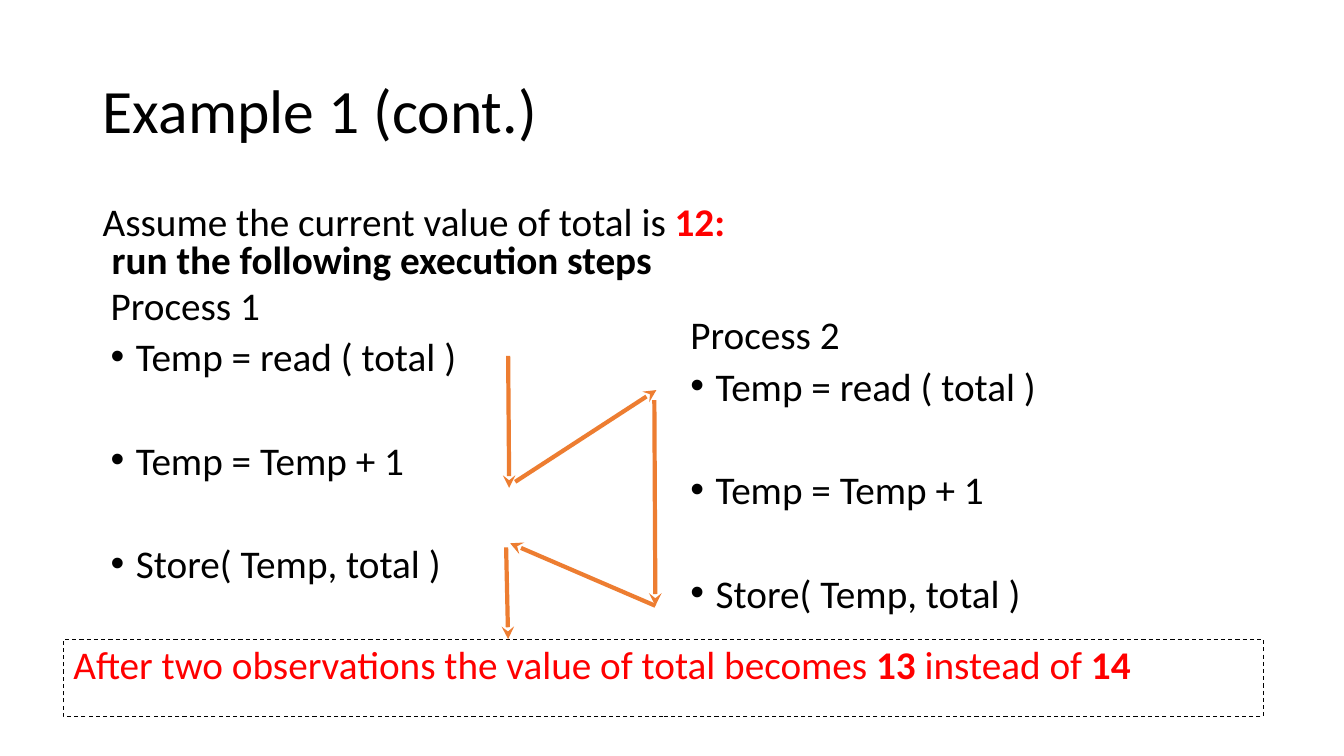
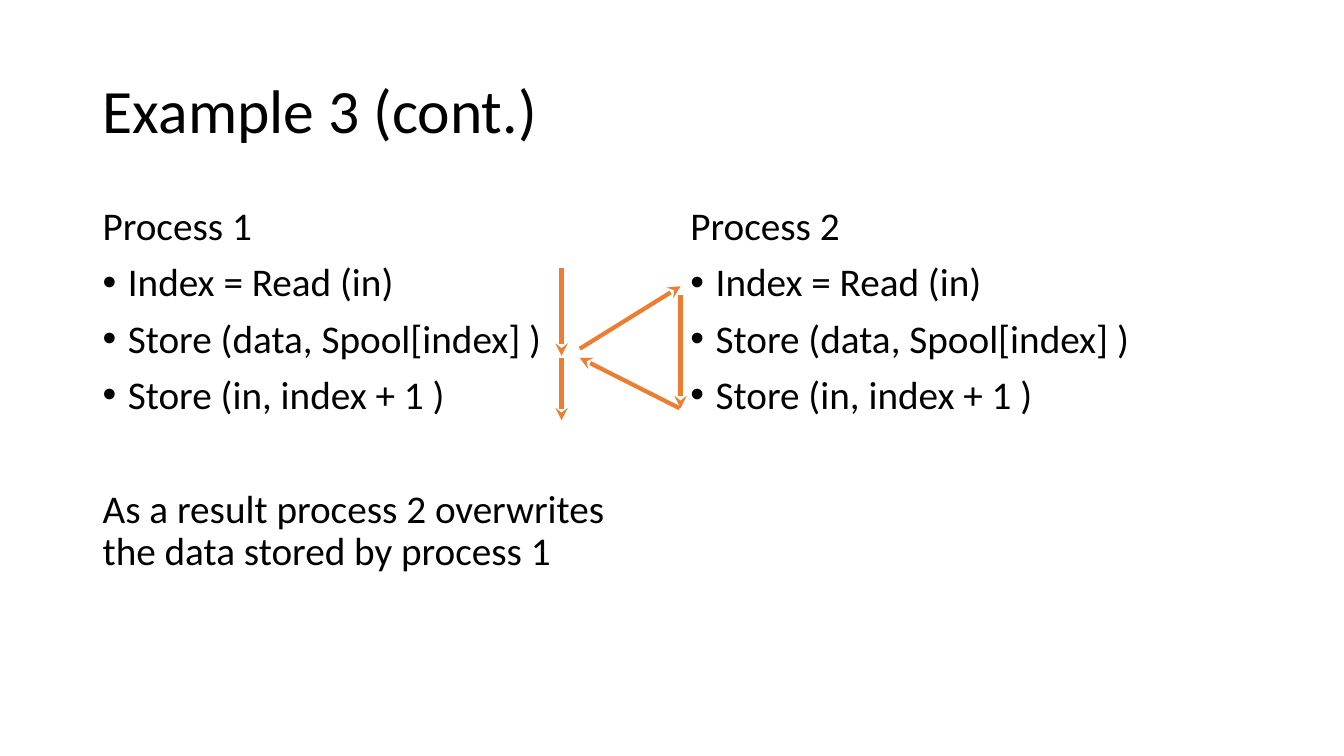
from lxml import etree
from pptx import Presentation, util as u
from pptx.dml.color import RGBColor
from pptx.enum import dml, shapes, text
from pptx.oxml.ns import qn

BLACK = RGBColor(0x00, 0x00, 0x00)
RED = RGBColor(0xFF, 0x00, 0x00)
ORANGE = RGBColor(0xED, 0x7D, 0x31)
FONT = "Calibri"


def px(n):
    """100 px make one inch."""
    return u.Emu(n * 9144)


class Deck:
    def __init__(self):
        self.prs = Presentation()
        self.prs.slide_width, self.prs.slide_height = px(1333), px(750)
        self.slide = None
        self.lead = 0.9

    def start(self, title, lead):
        """Add a slide with its title; lead is the line spacing of its text."""
        self.slide = self.prs.slides.add_slide(self.prs.slide_layouts[5])
        self.lead = lead
        head = self.slide.shapes.title
        head.left, head.top, head.width, head.height = map(px, (92, 40, 1150, 145))
        frame = head.text_frame
        frame.auto_size = text.MSO_AUTO_SIZE.NONE
        frame.vertical_anchor = text.MSO_ANCHOR.MIDDLE
        frame.text = title
        par = frame.paragraphs[0]
        par.alignment = text.PP_ALIGN.LEFT
        par.line_spacing = 0.9
        self.style(par.font, 44)

    def style(self, font, size=28, color=BLACK, bold=False):
        font.name, font.size, font.bold = FONT, u.Pt(size), bold
        font.color.rgb = color

    def box(self, x, y, w, h):
        frame = self.slide.shapes.add_textbox(*map(px, (x, y, w, h))).text_frame
        frame.word_wrap = True
        return frame

    def para(self, frame, *runs, gap=10, inset=0, dot=False, color=BLACK, bold=False):
        """Add a paragraph; a run is a string or (string, colour) in bold."""
        par = frame.paragraphs[0]
        if par.runs:
            par = frame.add_paragraph()
            par.space_before = u.Pt(gap)
        par.alignment = text.PP_ALIGN.LEFT
        par.line_spacing = self.lead
        props = par._p.get_or_add_pPr()
        if inset:
            props.set("marL", str(px(inset)))
        if dot:
            props.set("marL", str(px(25)))
            props.set("indent", str(px(-25)))
            etree.SubElement(props, qn("a:buFont")).set("typeface", "Arial")
            etree.SubElement(props, qn("a:buChar")).set("char", "•")
        self.style(par.font, color=color, bold=bold)
        for item in runs:
            run = par.add_run()
            if isinstance(item, str):
                run.text = item
            else:
                run.text, run.font.color.rgb = item
                run.font.bold = True

    def steps(self, at, name, lines, gap=10):
        """A process name with its bulleted steps, gap points apart."""
        frame = self.box(*at)
        self.para(frame, name)
        for i, line in enumerate(lines):
            self.para(frame, line, gap=gap if i else 10, dot=True)
        return frame

    def arrow(self, *ends):
        line = self.slide.shapes.add_connector(
            shapes.MSO_CONNECTOR.STRAIGHT, *map(px, ends))
        line.line.color.rgb = ORANGE
        line.line.width = u.Pt(3)
        tail = etree.SubElement(line.line._get_or_add_ln(), qn("a:tailEnd"))
        tail.set("type", "stealth")
        etree.SubElement(line._element.spPr, qn("a:effectLst"))

    def note(self, x, y, w, h, *runs, color):
        """A dashed box with a closing remark."""
        rect = self.slide.shapes.add_shape(
            shapes.MSO_SHAPE.RECTANGLE, *map(px, (x, y, w, h)))
        rect.shadow.inherit = False
        rect.fill.background()
        rect.line.color.rgb = BLACK
        rect.line.width = u.Pt(0.75)
        rect.line.dash_style = dml.MSO_LINE.DASH
        frame = rect.text_frame
        frame.word_wrap = True
        frame.vertical_anchor = text.MSO_ANCHOR.TOP
        frame.margin_top = frame.margin_bottom = px(10)
        self.para(frame, *runs, color=color)


def main():
    deck = Deck()

    # Slide 1: lost update of a shared total
    deck.start("Example 1 (cont.)", 0.8)
    intro = deck.box(92, 200, 1150, 100)
    deck.para(intro, "Assume the current value of total is ", ("12:", RED))
    deck.para(intro, "run the following execution steps", gap=0, inset=9, bold=True)
    update = ["Temp = read ( total )", "Temp = Temp + 1", "Store( Temp, total )"]
    deck.steps((100, 283, 387, 300), "Process 1", update, gap=47)
    deck.steps((675, 312, 567, 300), "Process 2", update, gap=47)
    # Order of execution
    for ends in [(504, 353, 505, 484), (511, 478, 651, 387), (649, 397, 650, 601),
                 (650, 601, 506, 539), (502, 543, 504, 634)]:
        deck.arrow(*ends)
    deck.note(63, 634, 1190, 77, "After two observations the value of total becomes ",
              ("13", RED), " instead of ", ("14", RED), color=RED)

    # Slide 2: overwritten spool entry
    deck.start("Example 3 (cont.)", 0.9)
    spool = ["Index = Read (in)", "Store (data, Spool[index] )", "Store (in, index + 1 )"]
    first = deck.steps((92, 200, 567, 476), "Process 1", spool)
    deck.para(first, "As a result process 2 overwrites the data stored by process 1", gap=51)
    deck.steps((675, 200, 567, 476), "Process 2", spool)
    # Order of execution
    for ends in [(557, 266, 557, 353), (557, 355, 557, 417), (575, 346, 675, 284),
                 (675, 293, 675, 405), (674, 405, 575, 355)]:
        deck.arrow(*ends)

    deck.prs.save("out.pptx")


if __name__ == "__main__":
    main()
